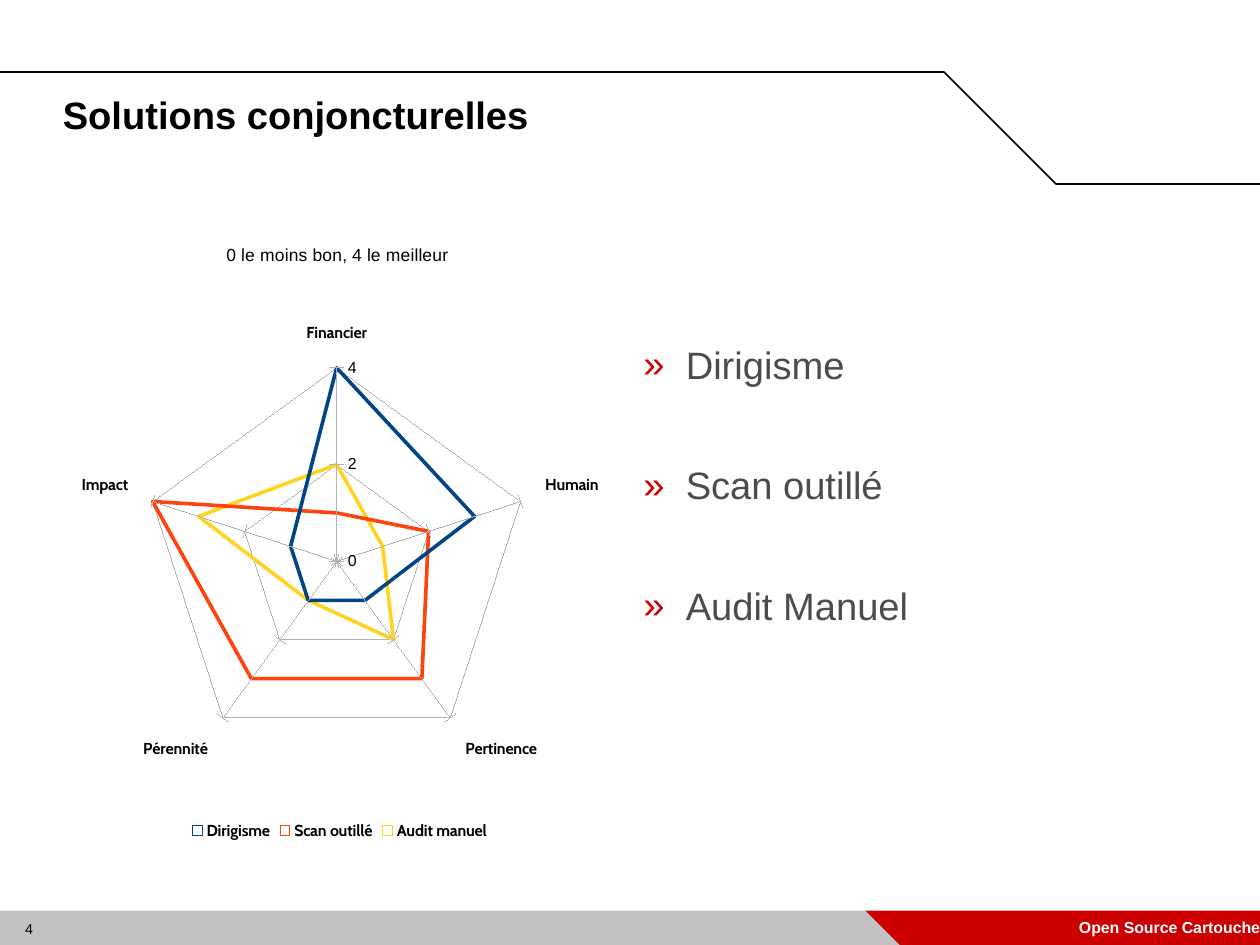
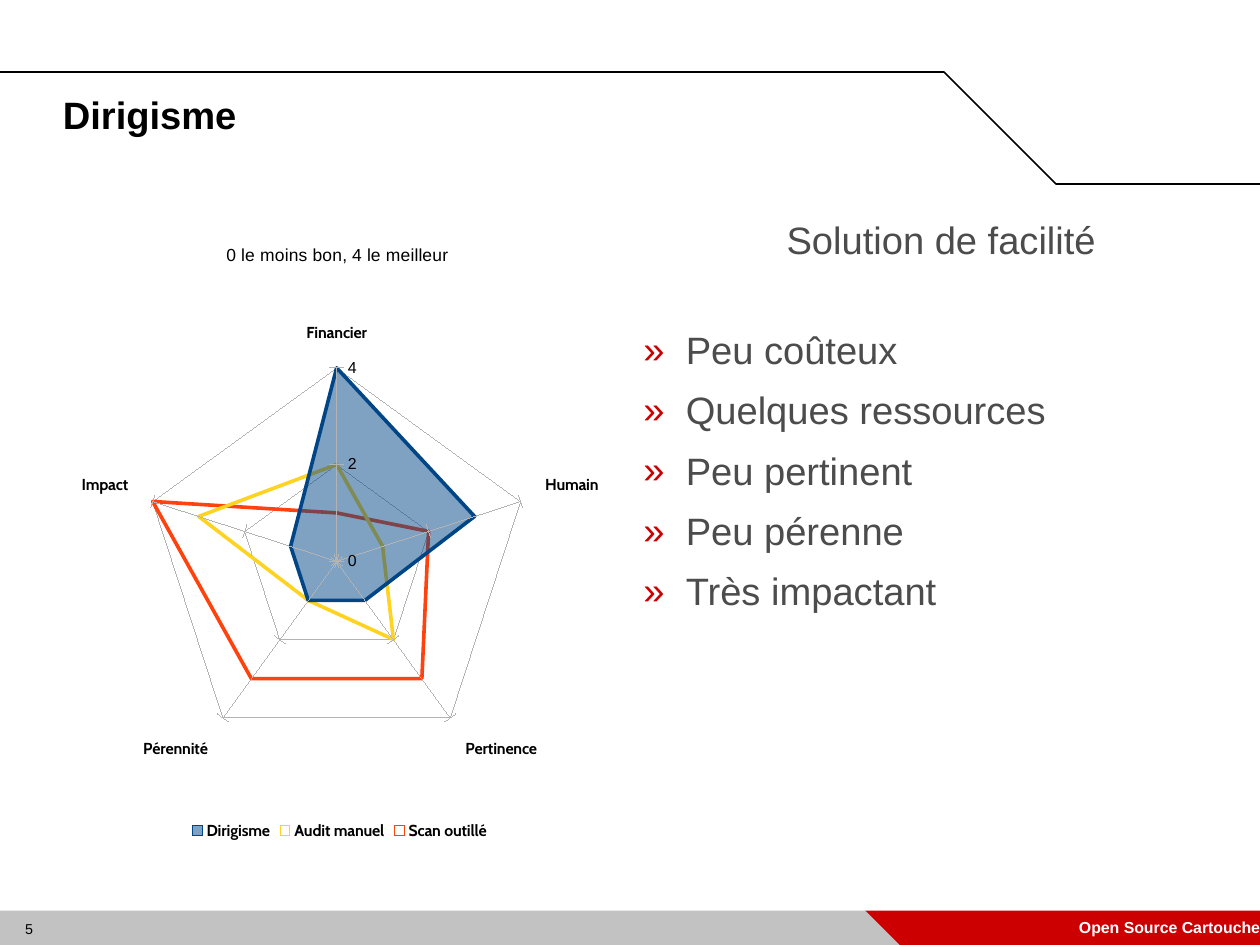
from dataclasses import dataclass

from lxml import etree
from pptx import Presentation
from pptx.chart import data as chart_data
from pptx.dml.color import RGBColor
from pptx.enum import chart as chart_enum, shapes, text
from pptx.oxml import ns
from pptx.util import Inches, Pt

CM_PER_INCH = 2.54
WIDTH, HEIGHT = 28 / CM_PER_INCH, 21 / CM_PER_INCH
BLACK = RGBColor(0x00, 0x00, 0x00)
WHITE = RGBColor(0xFF, 0xFF, 0xFF)
SILVER = RGBColor(0xC2, 0xC2, 0xC2)
GRID = RGBColor(0xB3, 0xB3, 0xB3)
RED = RGBColor(0xCC, 0x00, 0x00)
BODY = RGBColor(0x4C, 0x4C, 0x4C)
BLUE = RGBColor(0x00, 0x45, 0x86)
ORANGE = RGBColor(0xFF, 0x42, 0x0E)
YELLOW = RGBColor(0xFF, 0xD3, 0x20)

CONTENT_TOP, CONTENT_WIDTH, CONTENT_HEIGHT = 1.93, 4.84, 5.46
CHART_LEFT, BODY_LEFT = 0.55, 5.63
BAND_HEIGHT, BAND_SPLIT = 0.3, 7.57
BAND_TOP = HEIGHT - BAND_HEIGHT
BULLET_INDENT = 0.37
LINE_SPACING = 0.93

CRITERIA = ["Financier", "Humain", "Pertinence", "Pérennité", "Impact"]
CHART_TITLE = "0 le moins bon, 4 le meilleur"
FOOTER = "Open Source Cartouche"


@dataclass(frozen=True)
class Solution:
    name: str
    scores: tuple[int, ...]
    color: RGBColor


@dataclass(frozen=True)
class Line:
    words: str
    space_before: float = 11.2
    bullet: bool = True


@dataclass(frozen=True)
class Page:
    number: int
    title: str
    solutions: tuple[Solution, ...]
    lines: tuple[Line, ...]
    body_top: float
    highlight: str = ""


DIRIGISME = Solution("Dirigisme", (4, 3, 1, 1, 1), BLUE)
SCAN = Solution("Scan outillé", (1, 2, 3, 3, 4), ORANGE)
AUDIT = Solution("Audit manuel", (2, 1, 2, 1, 3), YELLOW)

PAGES = (
    Page(
        4,
        "Solutions conjoncturelles",
        (DIRIGISME, SCAN, AUDIT),
        (Line("Dirigisme"), Line("Scan outillé", 49.1), Line("Audit Manuel", 49.1)),
        body_top=3.02,
    ),
    Page(
        5,
        "Dirigisme",
        (DIRIGISME, AUDIT, SCAN),
        (
            Line("Solution de facilité", bullet=False),
            Line("Peu coûteux", 42.4),
            Line("Quelques ressources"),
            Line("Peu pertinent"),
            Line("Peu pérenne"),
            Line("Très impactant"),
        ),
        body_top=CONTENT_TOP,
        highlight="Dirigisme",
    ),
)


def set_font(font, size: float, color: RGBColor = BLACK, bold: bool = False, name: str = "Arial") -> None:
    font.size, font.bold, font.name = Pt(size), bold, name
    font.color.rgb = color


def write(paragraph, words: str, *, size: float, color: RGBColor = BLACK, bold: bool = False,
          align=text.PP_ALIGN.LEFT, spacing: float = LINE_SPACING, before: float = 0) -> None:
    run = paragraph.add_run()
    run.text = words
    set_font(run.font, size, color, bold)
    paragraph.alignment = align
    paragraph.line_spacing = spacing
    paragraph.space_before = Pt(before)


def prepare_frame(shape, anchor=text.MSO_ANCHOR.TOP):
    frame = shape.text_frame
    frame.margin_left = frame.margin_top = frame.margin_right = frame.margin_bottom = 0
    frame.word_wrap = True
    frame.vertical_anchor = anchor
    return frame


def add_frame(slide, left: float, top: float, width: float, height: float, anchor=text.MSO_ANCHOR.TOP):
    box = slide.shapes.add_textbox(Inches(left), Inches(top), Inches(width), Inches(height))
    return prepare_frame(box, anchor)


def add_band(slide, kind, left: float, width: float, color: RGBColor):
    shape = slide.shapes.add_shape(kind, Inches(left), Inches(BAND_TOP), Inches(width), Inches(BAND_HEIGHT))
    shape.shadow.inherit = False
    shape.fill.solid()
    shape.fill.fore_color.rgb = color
    shape.line.fill.background()
    return shape


def add_header_line(slide) -> None:
    builder = slide.shapes.build_freeform(0, Inches(0.63))
    points = ((8.26, 0.63), (9.24, 1.61), (WIDTH, 1.61))
    builder.add_line_segments([(Inches(x), Inches(y)) for x, y in points], close=False)
    shape = builder.convert_to_shape()
    shape.shadow.inherit = False
    shape.fill.background()
    shape.line.color.rgb = BLACK
    shape.line.width = Pt(1)


def add_frame_elements(slide, page: Page) -> None:
    slide.background.fill.solid()
    slide.background.fill.fore_color.rgb = WHITE
    add_header_line(slide)
    kinds = shapes.MSO_SHAPE
    add_band(slide, kinds.RECTANGLE, 0, BAND_SPLIT, SILVER)
    footer = add_band(slide, kinds.RECTANGLE, BAND_SPLIT, WIDTH - BAND_SPLIT, RED)
    write(prepare_frame(footer, text.MSO_ANCHOR.MIDDLE).paragraphs[0], FOOTER,
          size=10, color=WHITE, bold=True, align=text.PP_ALIGN.RIGHT)
    add_band(slide, kinds.RIGHT_TRIANGLE, BAND_SPLIT, BAND_HEIGHT, SILVER)
    number = add_frame(slide, 0.22, 8.05, 0.57, 0.14)
    write(number.paragraphs[0], str(page.number), size=9, spacing=1.0)
    title = add_frame(slide, 0.55, 0.33, 9.92, 1.38, text.MSO_ANCHOR.MIDDLE)
    write(title.paragraphs[0], page.title, size=24, bold=True)


def place_chart_part(part, index: int, **fractions: float) -> None:
    for old in part.findall(ns.qn("c:layout")):
        part.remove(old)
    layout = etree.Element(ns.qn("c:layout"))
    manual = etree.SubElement(layout, ns.qn("c:manualLayout"))
    settings = {"xMode": "edge", "yMode": "edge", **fractions}
    if "w" in fractions:
        settings = {"layoutTarget": "inner", **settings}
    for name, value in settings.items():
        etree.SubElement(manual, ns.qn(f"c:{name}")).set("val", str(value))
    part.insert(index, layout)


def style_series(series, solution: Solution, filled: bool) -> None:
    fill = series.format.fill
    if filled:
        fill.solid()
        fill.fore_color.rgb = solution.color
        color = series._element.find(f".//{ns.qn('a:solidFill')}/{ns.qn('a:srgbClr')}")
        etree.SubElement(color, ns.qn("a:alpha")).set("val", "50000")
    else:
        fill.background()
    series.format.line.color.rgb = solution.color
    series.format.line.width = Pt(2.27)


def add_radar(slide, page: Page) -> None:
    scores = chart_data.CategoryChartData()
    scores.categories = CRITERIA
    for solution in page.solutions:
        scores.add_series(solution.name, solution.scores)
    chart = slide.shapes.add_chart(
        chart_enum.XL_CHART_TYPE.RADAR_FILLED, Inches(CHART_LEFT), Inches(CONTENT_TOP),
        Inches(CONTENT_WIDTH), Inches(CONTENT_HEIGHT), scores).chart
    set_font(chart.font, 10)

    plot = chart.plots[0]
    plot.vary_by_categories = False
    for series, solution in zip(plot.series, page.solutions):
        style_series(series, solution, solution.name == page.highlight)

    chart.has_title = True
    write(chart.chart_title.text_frame.paragraphs[0], CHART_TITLE, size=11, spacing=1.0,
          align=text.PP_ALIGN.CENTER)
    chart.has_legend = True
    chart.legend.position = chart_enum.XL_LEGEND_POSITION.BOTTOM
    chart.legend.include_in_layout = False
    set_font(chart.legend.font, 10, bold=True, name="Cabin")

    categories, values = chart.category_axis, chart.value_axis
    values.minimum_scale, values.maximum_scale, values.major_unit = 0, 4, 2
    values.has_major_gridlines = True
    lines = [values.major_gridlines.format.line]
    for axis in (categories, values):
        axis.major_tick_mark = chart_enum.XL_TICK_MARK.OUTSIDE
        axis.minor_tick_mark = chart_enum.XL_TICK_MARK.NONE
        axis.tick_labels.number_format = "General"
        axis.tick_labels.number_format_is_linked = False
        lines.append(axis.format.line)
    for line in lines:
        line.color.rgb = GRID
        line._get_or_add_ln().set("w", "0")
    set_font(categories.tick_labels.font, 10, bold=True, name="Cabin")
    set_font(values.tick_labels.font, 10)

    plot_area = chart._chartSpace.find(f".//{ns.qn('c:plotArea')}")
    place_chart_part(plot_area, 0, x=0.145, y=0.236, w=0.7, h=0.62)
    place_chart_part(chart.chart_title._element, 1, x=0.29, y=0.03)
    place_chart_part(chart.legend._element, 1, x=0.225, y=0.955)


def add_bullet(paragraph) -> None:
    properties = paragraph._p.get_or_add_pPr()
    properties.set("indent", str(-Inches(BULLET_INDENT)))
    color = etree.SubElement(properties, ns.qn("a:buClr"))
    etree.SubElement(color, ns.qn("a:srgbClr")).set("val", str(RED))
    etree.SubElement(properties, ns.qn("a:buFont")).set("typeface", "Arial")
    etree.SubElement(properties, ns.qn("a:buChar")).set("char", "»")


def add_body(slide, page: Page) -> None:
    height = CONTENT_TOP + CONTENT_HEIGHT - page.body_top
    frame = add_frame(slide, BODY_LEFT, page.body_top, CONTENT_WIDTH, height)
    for index, line in enumerate(page.lines):
        paragraph = frame.add_paragraph() if index else frame.paragraphs[0]
        align = text.PP_ALIGN.LEFT if line.bullet else text.PP_ALIGN.CENTER
        write(paragraph, line.words, size=24, color=BODY, align=align, before=line.space_before)
        paragraph._p.get_or_add_pPr().set("marL", str(Inches(BULLET_INDENT)))
        if line.bullet:
            add_bullet(paragraph)


def main() -> None:
    presentation = Presentation()
    presentation.slide_width, presentation.slide_height = Inches(WIDTH), Inches(HEIGHT)
    for page in PAGES:
        slide = presentation.slides.add_slide(presentation.slide_layouts[6])
        add_frame_elements(slide, page)
        add_radar(slide, page)
        add_body(slide, page)
    presentation.save("out.pptx")


if __name__ == "__main__":
    main()
